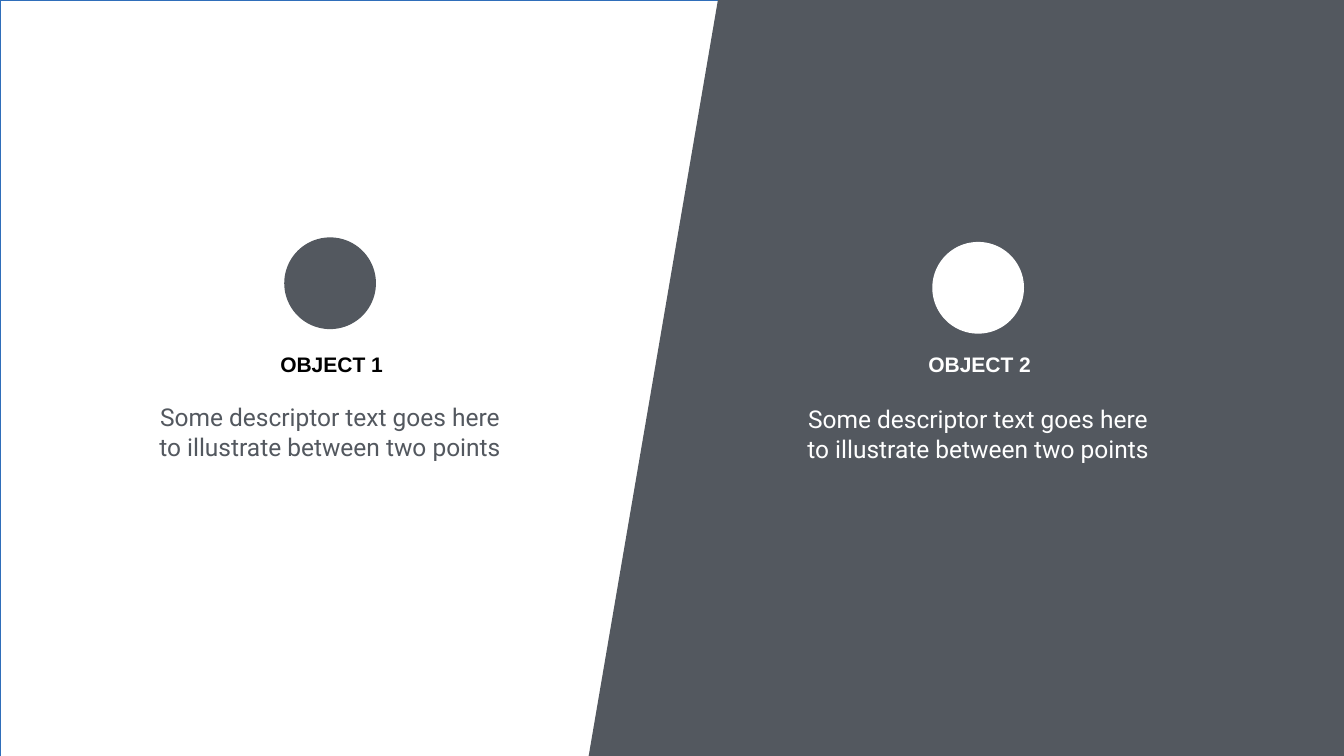
from dataclasses import dataclass

from pptx import Presentation
from pptx.dml.color import RGBColor
from pptx.enum import shapes, text
from pptx.util import Inches, Pt

WHITE = "FFFFFF"
BLACK = "000000"
SLATE = "53585F"
CYAN = "00D5FF"
BLUE = "2F6EBA"
WIDTH, HEIGHT = 26.67, 15
DOT_SIZE = 1.82


@dataclass
class Side:
    heading: str
    center: float
    dot_top: float
    body_top: float
    body_height: float
    heading_color: str
    color: str


SIDES = [
    Side("OBJECT 1", 6.55, 4.71, 7.9, 1.91, BLACK, SLATE),
    Side("OBJECT 2", 19.41, 4.8, 7.94, 2.49, WHITE, WHITE),
]
DESCRIPTION = "Some descriptor text goes here to illustrate between two points"
PANEL = [(11.64, 15.24), (14.26, -0.08), (34.92, -0.03), (32.62, 15.71)]


def rgb(value: str) -> RGBColor:
    return RGBColor.from_string(value)


def paint(sp, color: str) -> None:
    sp.shadow.inherit = False
    sp.fill.solid()
    sp.fill.fore_color.rgb = rgb(color)
    sp.line.fill.background()


def add_backdrop(s) -> None:
    s.background.fill.solid()
    s.background.fill.fore_color.rgb = rgb(CYAN)
    sp = s.shapes.add_shape(shapes.MSO_SHAPE.ROUNDED_RECTANGLE,
                            0, 0, Inches(WIDTH), Inches(HEIGHT))
    sp.adjustments[0] = 0
    paint(sp, WHITE)
    sp.line.color.rgb = rgb(BLUE)
    sp.line.width = Pt(1)


def add_panel(s) -> None:
    points = [(Inches(x), Inches(y)) for x, y in PANEL]
    builder = s.shapes.build_freeform(*points[0])
    builder.add_line_segments(points[1:], close=True)
    paint(builder.convert_to_shape(), SLATE)


def add_text(s, content: str, center: float, top: float, width: float,
             height: float, inset: float, font: str, size: int,
             color: str, bold: bool = False) -> None:
    sp = s.shapes.add_textbox(Inches(center - width / 2), Inches(top),
                              Inches(width), Inches(height))
    tf = sp.text_frame
    tf.word_wrap = True
    tf.margin_left = tf.margin_right = Inches(inset)
    tf.margin_top = tf.margin_bottom = Inches(inset)
    p = tf.paragraphs[0]
    p.alignment = text.PP_ALIGN.CENTER
    r = p.add_run()
    r.text = content
    r.font.name = font
    r.font.size = Pt(size)
    r.font.bold = bold
    r.font.color.rgb = rgb(color)


def add_side(s, side: Side) -> None:
    dot = s.shapes.add_shape(shapes.MSO_SHAPE.OVAL,
                             Inches(side.center - DOT_SIZE / 2),
                             Inches(side.dot_top),
                             Inches(DOT_SIZE), Inches(DOT_SIZE))
    paint(dot, side.color)
    add_text(s, side.heading, side.center + 0.03, 6.97, 2.92, 0.5, 0,
             "Arial", 30, side.heading_color, bold=True)
    add_text(s, DESCRIPTION, side.center, side.body_top, 7.11,
             side.body_height, 0.08, "Roboto", 35, side.color)


def main() -> None:
    prs = Presentation()
    prs.slide_width = Inches(WIDTH)
    prs.slide_height = Inches(HEIGHT)
    s = prs.slides.add_slide(prs.slide_layouts[6])
    add_backdrop(s)
    add_panel(s)
    for side in SIDES:
        add_side(s, side)
    prs.save("out.pptx")


if __name__ == "__main__":
    main()
